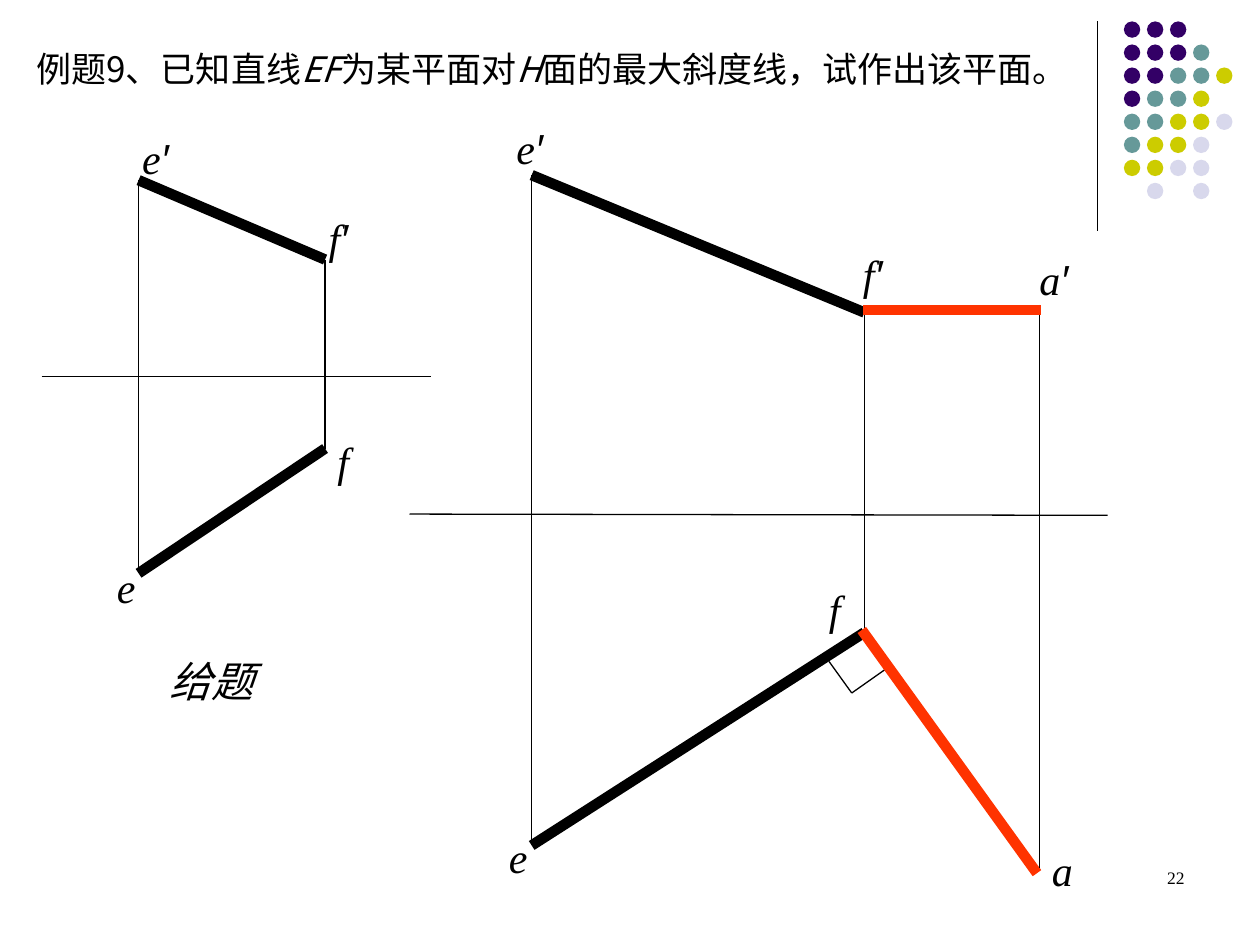
from dataclasses import dataclass

from lxml import etree
from pptx import Presentation
from pptx.dml.color import RGBColor
from pptx.enum.shapes import MSO_CONNECTOR, MSO_SHAPE
from pptx.enum.text import PP_ALIGN
from pptx.oxml.ns import qn
from pptx.util import Inches, Pt

STRAIGHT = MSO_CONNECTOR.STRAIGHT
OVAL = MSO_SHAPE.OVAL
LEFT, RIGHT = PP_ALIGN.LEFT, PP_ALIGN.RIGHT

BLACK, RED = "000000", "FF3300"
SERIF, SANS, CJK = "Times New Roman", "Arial", "Noto Sans CJK SC"
THIN, THICK = 0.75, 6

DOT_COLORS = {"P": "330066", "T": "669999", "Y": "CCCC00", "L": "D8D8EC"}
DOT_ROWS = ["PPP", "PPPT", "PPTTY", "PTTY", "TTYYL", "TYYL", "YYLL", ".L.L"]
DOT_LEFT, DOT_TOP, DOT_PITCH, DOT_SIZE = 8.92, 0.17, 0.183, 0.13


@dataclass
class Segment:
    start: tuple[float, float]
    end: tuple[float, float]
    width: float = THIN
    color: str = BLACK


@dataclass
class Label:
    text: str
    left: float
    top: float
    width: float


@dataclass
class Run:
    text: str
    font: str = SERIF
    italic: bool = False


def projection_lines(e_front, f_front, f_top, e_top) -> list[Segment]:
    """Both projections of EF and the projectors that join them."""
    return [
        Segment(e_front, f_front, THICK),
        Segment(e_front, e_top),
        Segment(f_front, f_top),
        Segment(f_top, e_top, THICK),
    ]


GIVEN = [
    Segment((0.33, 2.99), (3.42, 2.99)),
    *projection_lines((1.1, 1.43), (2.58, 2.06), (2.58, 3.56), (1.1, 4.55)),
]
SOLUTION = [
    Segment((3.25, 4.08), (8.79, 4.09)),
    *projection_lines((4.22, 1.39), (6.86, 2.48), (6.86, 5.02), (4.22, 6.71)),
    Segment((6.58, 5.25), (6.76, 5.5)),
    Segment((6.76, 5.5), (7.03, 5.31)),
    Segment((6.84, 5), (8.23, 6.93), THICK, RED),
    Segment((8.25, 2.42), (8.25, 6.89)),
    Segment((6.85, 2.46), (8.26, 2.46), THICK, RED),
]
LABELS = [
    Label("e", 0.83, 4.41, 0.98),
    Label("f", 2.58, 3.41, 0.56),
    Label("f′", 2.51, 1.64, 0.56),
    Label("e′", 1.03, 1, 0.56),
    Label("f", 6.48, 4.58, 1.01),
    Label("f′", 6.75, 1.92, 0.93),
    Label("e", 3.94, 6.55, 1.01),
    Label("e′", 4, 0.92, 0.98),
    Label("a", 8.25, 6.65, 1.01),
    Label("a′", 8.15, 1.96, 1.01),
    Label("给题", 1.25, 5.15, 1.29),
]
TITLE = [
    Run("例题9、已知直线", CJK),
    Run("EF", CJK, True),
    Run("为某平面对", CJK),
    Run("H", CJK, True),
    Run("面的最大斜度线，试作出该平面。", CJK),
]


def rgb(color: str) -> RGBColor:
    return RGBColor.from_string(color)


def add_segment(slide, segment: Segment) -> None:
    points = [Inches(value) for value in (*segment.start, *segment.end)]
    connector = slide.shapes.add_connector(STRAIGHT, *points)
    connector.line.width = Pt(segment.width)
    connector.line.color.rgb = rgb(segment.color)
    etree.SubElement(connector._element.spPr, qn("a:effectLst"))


def add_text(slide, runs: list[Run], *, left: float, top: float, width: float,
             height: float = 0.5, size: float = 24, align=LEFT) -> None:
    box = slide.shapes.add_textbox(
        Inches(left), Inches(top), Inches(width), Inches(height))
    box.text_frame.word_wrap = True
    paragraph = box.text_frame.paragraphs[0]
    paragraph.alignment = align
    for item in runs:
        run = paragraph.add_run()
        run.text = item.text
        run.font.name = item.font
        run.font.size = Pt(size)
        run.font.italic = item.italic
        run.font.color.rgb = rgb(BLACK)
        east_asian = etree.Element(qn("a:ea"), typeface=CJK)
        run.font._element.find(qn("a:latin")).addnext(east_asian)


def add_label(slide, label: Label) -> None:
    """Italic point name, with its prime mark in the sans font."""
    name = label.text.rstrip("′")
    runs = [Run(name, SERIF, True)]
    if name != label.text:
        runs.append(Run("′", SANS, True))
    add_text(slide, runs, left=label.left, top=label.top, width=label.width)


def add_dots(slide) -> None:
    for row, keys in enumerate(DOT_ROWS):
        for column, key in enumerate(keys):
            if key not in DOT_COLORS:
                continue
            dot = slide.shapes.add_shape(
                OVAL,
                Inches(DOT_LEFT + column * DOT_PITCH),
                Inches(DOT_TOP + row * DOT_PITCH),
                Inches(DOT_SIZE), Inches(DOT_SIZE))
            dot.shadow.inherit = False
            dot.fill.solid()
            dot.fill.fore_color.rgb = rgb(DOT_COLORS[key])
            dot.line.fill.background()


def main() -> None:
    presentation = Presentation()
    presentation.slide_width = Inches(10)
    presentation.slide_height = Inches(7.5)
    slide = presentation.slides.add_slide(presentation.slide_layouts[6])

    add_segment(slide, Segment((8.71, 0.17), (8.71, 1.83)))
    add_dots(slide)
    for segment in GIVEN + SOLUTION:
        add_segment(slide, segment)
    for label in LABELS:
        add_label(slide, label)
    add_text(slide, TITLE, left=0.19, top=0.33, width=8.7, height=0.44, size=20)
    add_text(slide, [Run("22")], left=7.17, top=6.83, width=2.33, size=10,
             align=RIGHT)
    presentation.save("out.pptx")


if __name__ == "__main__":
    main()
